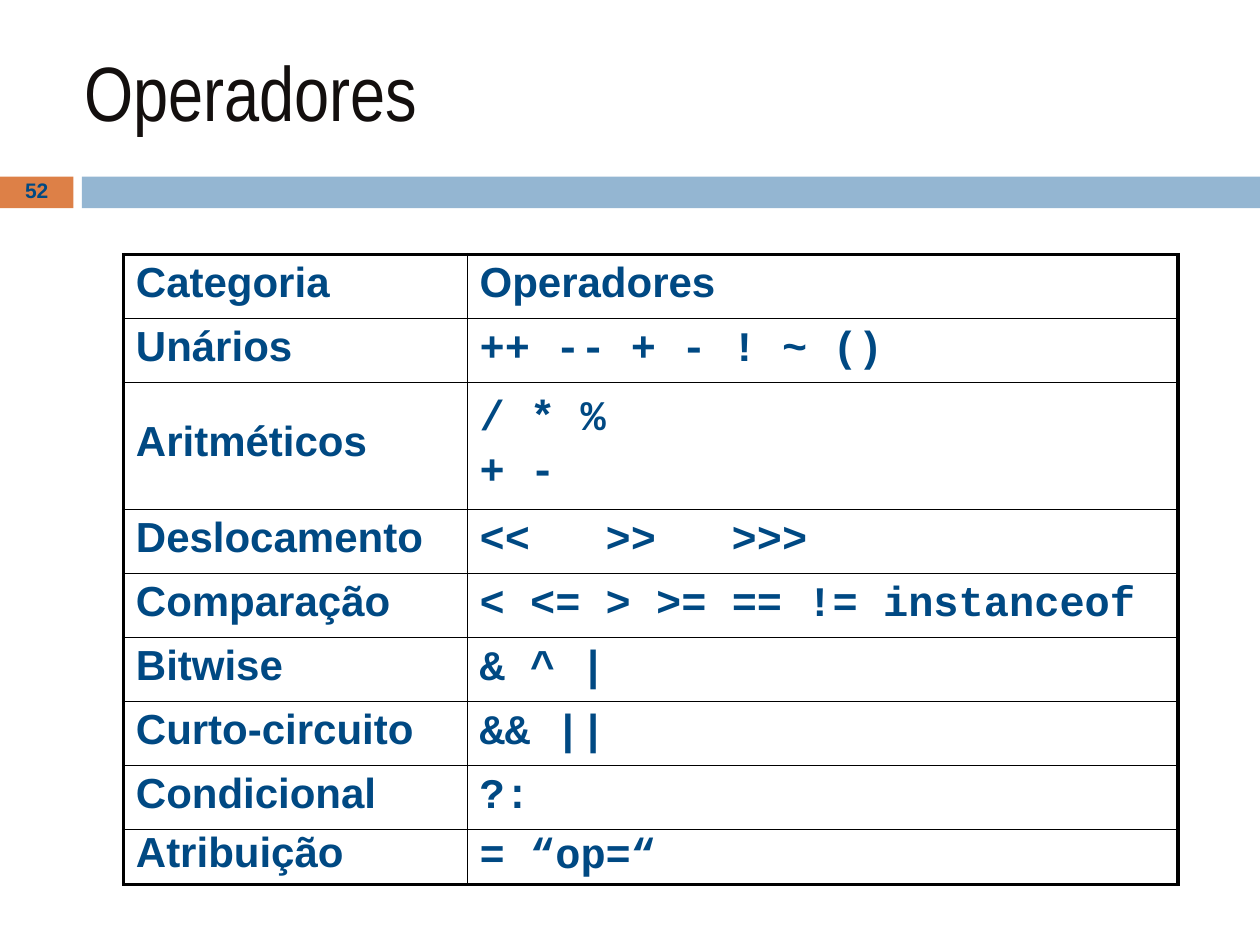
from pptx import Presentation
from pptx.dml.color import RGBColor
from pptx.enum.shapes import MSO_SHAPE as Preset
from pptx.enum.text import MSO_ANCHOR as Anchor, PP_ALIGN as Align
from pptx.oxml.ns import qn
from pptx.util import Cm, Pt
from lxml.etree import SubElement

ORANGE = RGBColor(0xDD, 0x80, 0x47)
LIGHT_BLUE = RGBColor(0x94, 0xB6, 0xD2)
NAVY = RGBColor(0x00, 0x49, 0x83)
INK = RGBColor(0x13, 0x0F, 0x0E)
BLACK = RGBColor(0, 0, 0)

THIN, THICK = Pt(1), Pt(2.25)
TAB_STEP = Cm(2.54)

OPERATORS = [
    ("Categoria", "Operadores"),
    ("Unários", "++ -- + - ! ~ ()"),
    ("Aritméticos", "/ * %\n+ -"),
    ("Deslocamento", "<<\t>>\t>>>"),
    ("Comparação", "< <= > >= == != instanceof"),
    ("Bitwise", "& ^ |"),
    ("Curto-circuito", "&& ||"),
    ("Condicional", "?:"),
    ("Atribuição", "= “op=“"),
]
COLUMN_WIDTHS = [Cm(6.93), Cm(14.33)]
ROW_HEIGHTS = [Cm(h) for h in [1.29, 1.29, 2.56] + [1.29] * 5 + [1.09]]


def style(paragraph, font_name, size, color, bold=False, spacing=1.0):
    paragraph.line_spacing = spacing
    font = paragraph.font
    font.name, font.size, font.bold = font_name, Pt(size), bold
    font.color.rgb = color


def add_band(slide, left, width, color):
    band = slide.shapes.add_shape(Preset.RECTANGLE, left, Cm(3.56), width, Cm(0.64))
    band.shadow.inherit = False
    band.fill.solid()
    band.fill.fore_color.rgb = color
    band.line.fill.background()


def add_label(slide, text, left, top, width, height):
    frame = slide.shapes.add_textbox(left, top, width, height).text_frame
    frame.word_wrap = True
    frame.vertical_anchor = Anchor.MIDDLE
    frame.text = text
    return frame.paragraphs[0]


def add_tab_stops(paragraph, count):
    properties = paragraph.font._element.getparent()
    stops = SubElement(properties, qn("a:tabLst"))
    for number in range(1, count + 1):
        SubElement(stops, qn("a:tab"), pos=str(TAB_STEP * number), algn="l")
    properties.find(qn("a:defRPr")).addprevious(stops)


def set_borders(cell, widths):
    properties = cell._tc.get_or_add_tcPr()
    for side, width in zip("LRTB", widths):
        border = SubElement(properties, qn(f"a:ln{side}"), w=str(width))
        fill = SubElement(border, qn("a:solidFill"))
        SubElement(fill, qn("a:srgbClr"), val=str(BLACK))


def fill_cell(cell, text, font_name, spacing):
    cell.fill.background()
    cell.vertical_anchor = Anchor.MIDDLE
    cell.margin_left = cell.margin_right = Cm(0.25)
    cell.margin_top, cell.margin_bottom = Cm(0.08), Cm(0.13)
    cell.text = text
    for index, paragraph in enumerate(cell.text_frame.paragraphs):
        style(paragraph, font_name, 24, NAVY, True, spacing)
        if index:
            paragraph.space_before = Pt(7)
        if "\t" in paragraph.text:
            add_tab_stops(paragraph, paragraph.text.count("\t"))


def add_operator_table(slide):
    table = slide.shapes.add_table(
        len(OPERATORS), len(COLUMN_WIDTHS), Cm(2.49), Cm(5.13),
        sum(COLUMN_WIDTHS), sum(ROW_HEIGHTS)).table
    table.first_row = table.horz_banding = False
    for column, width in zip(table.columns, COLUMN_WIDTHS):
        column.width = width
    last_row, last_col = len(OPERATORS) - 1, len(COLUMN_WIDTHS) - 1
    for r, (texts, height) in enumerate(zip(OPERATORS, ROW_HEIGHTS)):
        table.rows[r].height = height
        for c, text in enumerate(texts):
            cell = table.cell(r, c)
            outer = (c == 0, c == last_col, r == 0, r == last_row)
            set_borders(cell, [THICK if edge else THIN for edge in outer])
            is_code = r > 0 and c > 0
            font_name, spacing = ("Courier New", 0.89) if is_code else ("Arial", 0.86)
            fill_cell(cell, text, font_name, spacing)


def main():
    deck = Presentation()
    deck.slide_width, deck.slide_height = Cm(25.4), Cm(19.05)
    slide = deck.slides.add_slide(deck.slide_layouts[6])

    add_band(slide, Cm(0), Cm(1.48), ORANGE)
    add_band(slide, Cm(1.65), Cm(23.75), LIGHT_BLUE)
    title = add_label(slide, "Operadores", Cm(1.45), Cm(0.64), Cm(17.75), Cm(2.39))
    style(title, "Arial Narrow", 44, INK)
    add_operator_table(slide)
    page_number = add_label(slide, "52", Cm(0), Cm(3.53), Cm(1.48), Cm(0.69))
    style(page_number, "Arial", 12, NAVY, True, 0.8)
    page_number.alignment = Align.CENTER

    deck.save("out.pptx")


if __name__ == "__main__":
    main()
